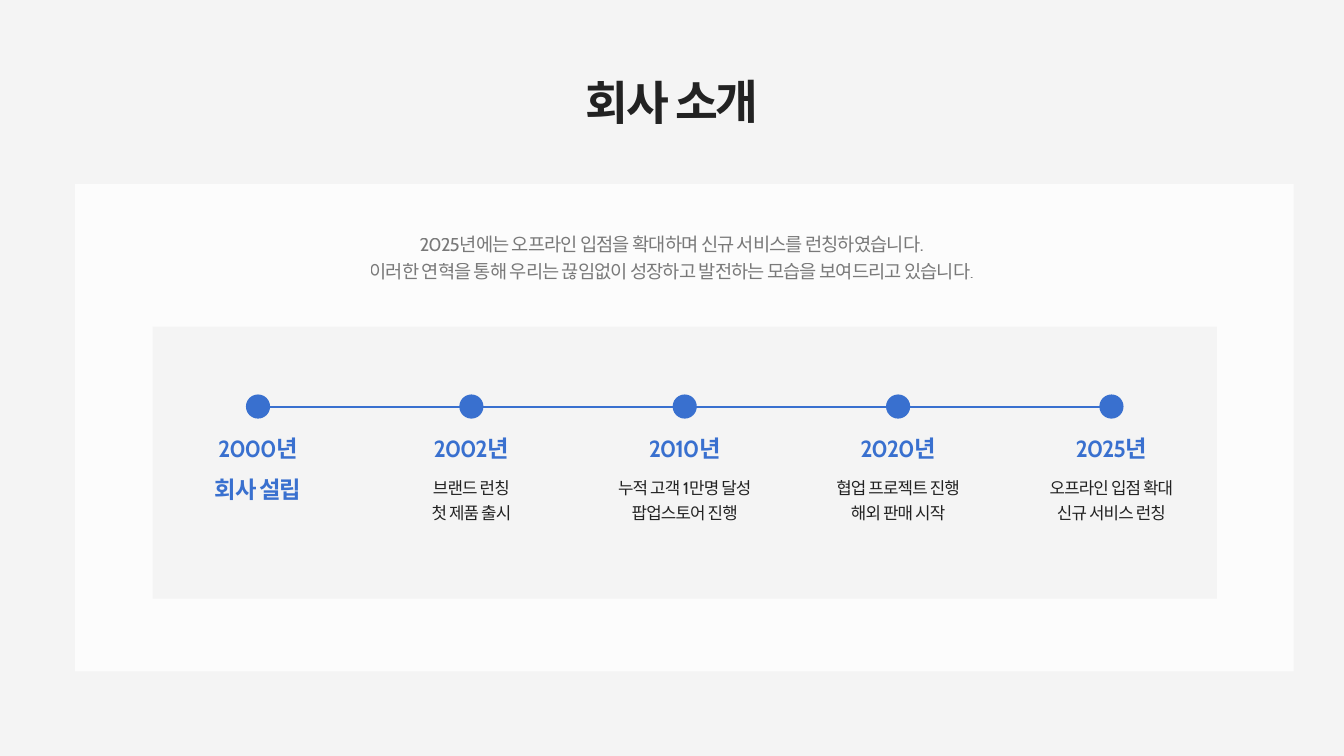
"""Build the company history slide with its five-step timeline."""
from typing import NamedTuple

from lxml import etree
from pptx import Presentation
from pptx.dml.color import RGBColor
from pptx.enum.shapes import MSO_CONNECTOR, MSO_SHAPE
from pptx.enum.text import MSO_ANCHOR, MSO_AUTO_SIZE, PP_ALIGN
from pptx.oxml.ns import qn
from pptx.slide import Slide
from pptx.util import Inches, Pt

RECT, OVAL = MSO_SHAPE.RECTANGLE, MSO_SHAPE.OVAL
STRAIGHT = MSO_CONNECTOR.STRAIGHT
CENTER = PP_ALIGN.CENTER
TOP = MSO_ANCHOR.TOP
GROW = MSO_AUTO_SIZE.SHAPE_TO_FIT_TEXT

PALE = RGBColor(0xF4, 0xF4, 0xF4)
WHITE = RGBColor(0xFC, 0xFC, 0xFC)
BLUE = RGBColor(0x39, 0x70, 0xCF)
DARK = RGBColor(0x22, 0x22, 0x22)

FIRST, STEP = 3.84, 3.175
AXIS, DOT = 6.05, 0.36
FRAME = {
    "margin_left": 0, "margin_right": 0, "margin_top": 0, "margin_bottom": 0,
    "word_wrap": True, "vertical_anchor": TOP, "auto_size": GROW,
}


class Box(NamedTuple):
    left: float
    top: float
    width: float
    height: float

    def emus(self) -> list[int]:
        return [Inches(side) for side in self]


class Style(NamedTuple):
    size: float
    lead: float
    track: float
    color: RGBColor
    bold: bool = False
    alpha: int = 100


class Event(NamedTuple):
    year: str
    lines: list[str]
    major: bool = False


TITLE = Style(50, 75, -2.5, DARK, True)
INTRO = Style(20, 29.3, -1, DARK, alpha=60)
HEAD = Style(25, 37.5, -1.2, BLUE, True)
BODY = Style(18, 27, -0.9, DARK)

EVENTS = [
    Event("2000년", ["회사 설립"], True),
    Event("2002년", ["브랜드 런칭", "첫 제품 출시"]),
    Event("2010년", ["누적 고객 1만명 달성", "팝업스토어 진행"]),
    Event("2020년", ["협업 프로젝트 진행", "해외 판매 시작"]),
    Event("2025년", ["오프라인 입점 확대", "신규 서비스 런칭"]),
]
NOTES = [
    "2025년에는 오프라인 입점을 확대하며 신규 서비스를 런칭하였습니다.",
    "이러한 연혁을 통해 우리는 끊임없이 성장하고 발전하는 모습을 보여드리고 있습니다.",
]


def write(shape, lines: list[str], style: Style) -> None:
    frame = shape.text_frame
    for name, value in FRAME.items():
        setattr(frame, name, value)
    look = {"name": "Cabin", "size": Pt(style.size), "bold": style.bold}
    for i, line in enumerate(lines):
        para = frame.add_paragraph() if i else frame.paragraphs[0]
        para.alignment = CENTER
        para.line_spacing = Pt(style.lead)
        run = para.add_run()
        run.text = line
        for name, value in look.items():
            setattr(run.font, name, value)
        run.font.color.rgb = style.color
        props = run._r.get_or_add_rPr()
        props.set("spc", str(round(style.track * 100)))
        if style.alpha < 100:
            tint = props.find(".//" + qn("a:srgbClr"))
            etree.SubElement(tint, qn("a:alpha")).set("val", str(style.alpha * 1000))


def add_text(slide: Slide, box: Box, lines: list[str], style: Style) -> None:
    write(slide.shapes.add_textbox(*box.emus()), lines, style)


def add_fill(slide: Slide, kind: MSO_SHAPE, box: Box, color: RGBColor) -> None:
    shape = slide.shapes.add_shape(kind, *box.emus())
    shape.shadow.inherit = False
    shape.fill.solid()
    shape.fill.fore_color.rgb = color
    shape.line.fill.background()


def add_axis(slide: Slide, start: float, end: float) -> None:
    ends = [Inches(n) for n in (start, AXIS, end, AXIS)]
    axis = slide.shapes.add_connector(STRAIGHT, *ends)
    axis.line.color.rgb = BLUE
    axis.line.width = Pt(2.25)
    etree.SubElement(axis._element.spPr, qn("a:effectLst"))


def add_event(slide: Slide, event: Event, mid: float) -> None:
    add_fill(slide, OVAL, Box(mid - DOT / 2, AXIS - DOT / 2, DOT, DOT), BLUE)
    add_text(slide, Box(mid - 0.68, 6.35, 1.36, 0.49), [event.year], HEAD)
    top, high, style = (6.96, 0.49, HEAD) if event.major else (7.03, 0.74, BODY)
    add_text(slide, Box(mid - 1.3, top, 2.6, high), event.lines, style)


def main() -> None:
    deck = Presentation()
    deck.slide_width, deck.slide_height = Inches(20), Inches(11.25)
    slide = deck.slides.add_slide(deck.slide_layouts[5])
    slide.background.fill.solid()
    slide.background.fill.fore_color.rgb = PALE

    title = slide.shapes.title
    place = Box(7.71, 0.88, 4.58, 0.99).emus()
    for name, value in zip(("left", "top", "width", "height"), place):
        setattr(title, name, value)
    title.rotation = 359.7
    write(title, ["회사 소개"], TITLE)

    add_fill(slide, RECT, Box(1.12, 2.74, 18.13, 7.25), WHITE)
    add_fill(slide, RECT, Box(2.27, 4.86, 15.84, 4.05), PALE)
    add_text(slide, Box(4.48, 3.39, 11.03, 0.8), NOTES, INTRO)
    add_axis(slide, 3.75, 16.63)
    for i, event in enumerate(EVENTS):
        add_event(slide, event, FIRST + i * STEP)
    deck.save("out.pptx")


if __name__ == "__main__":
    main()
